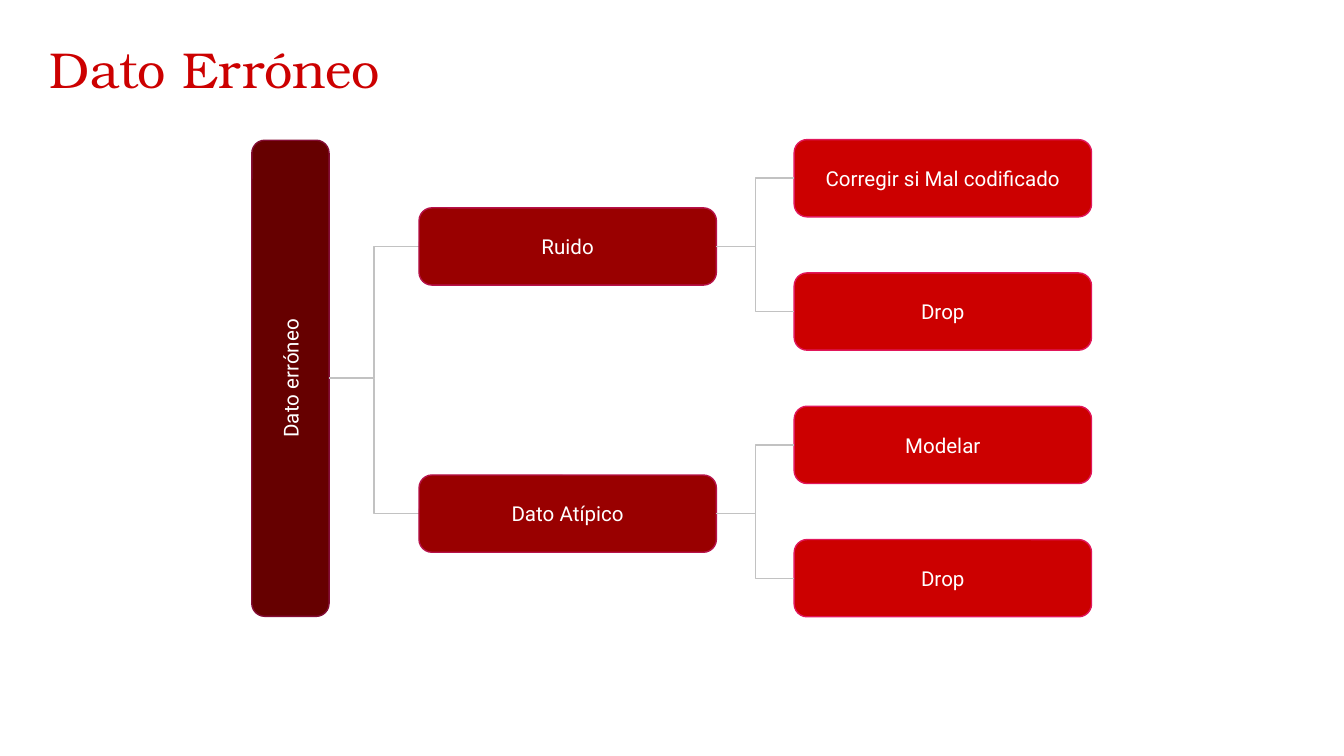
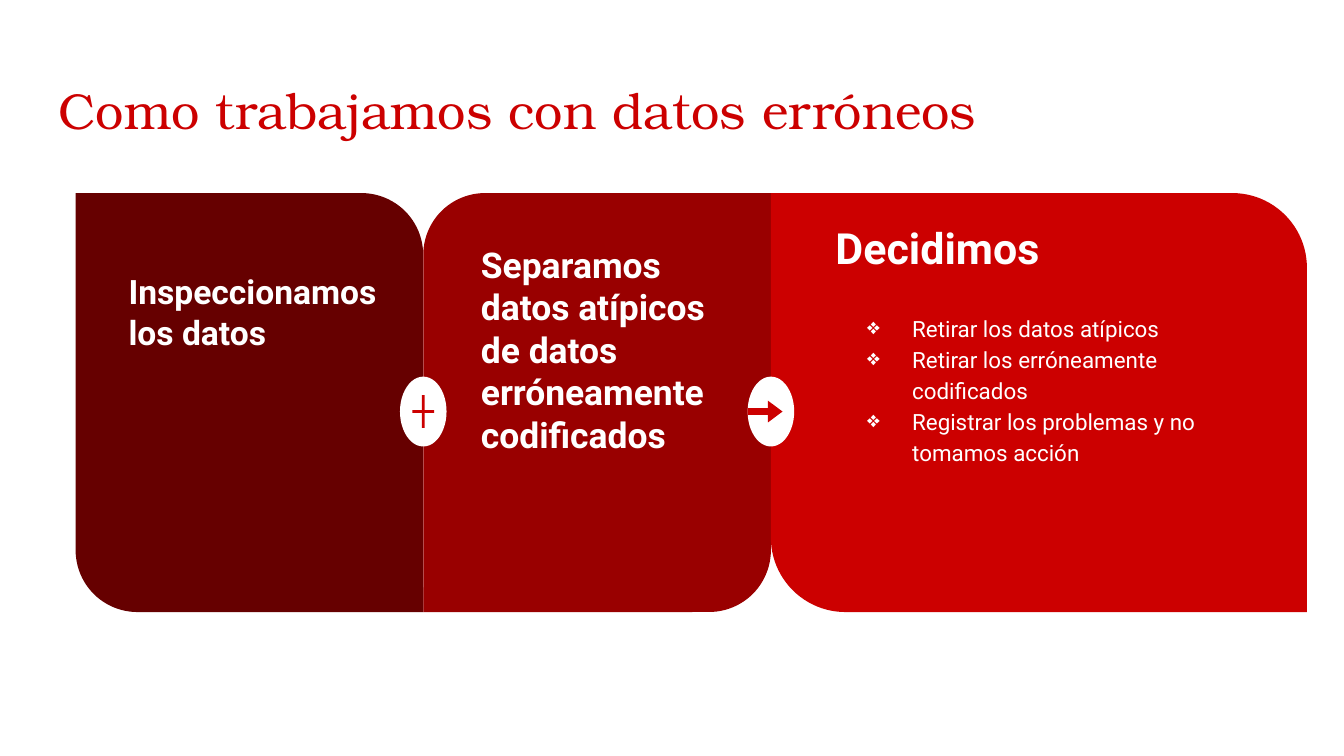
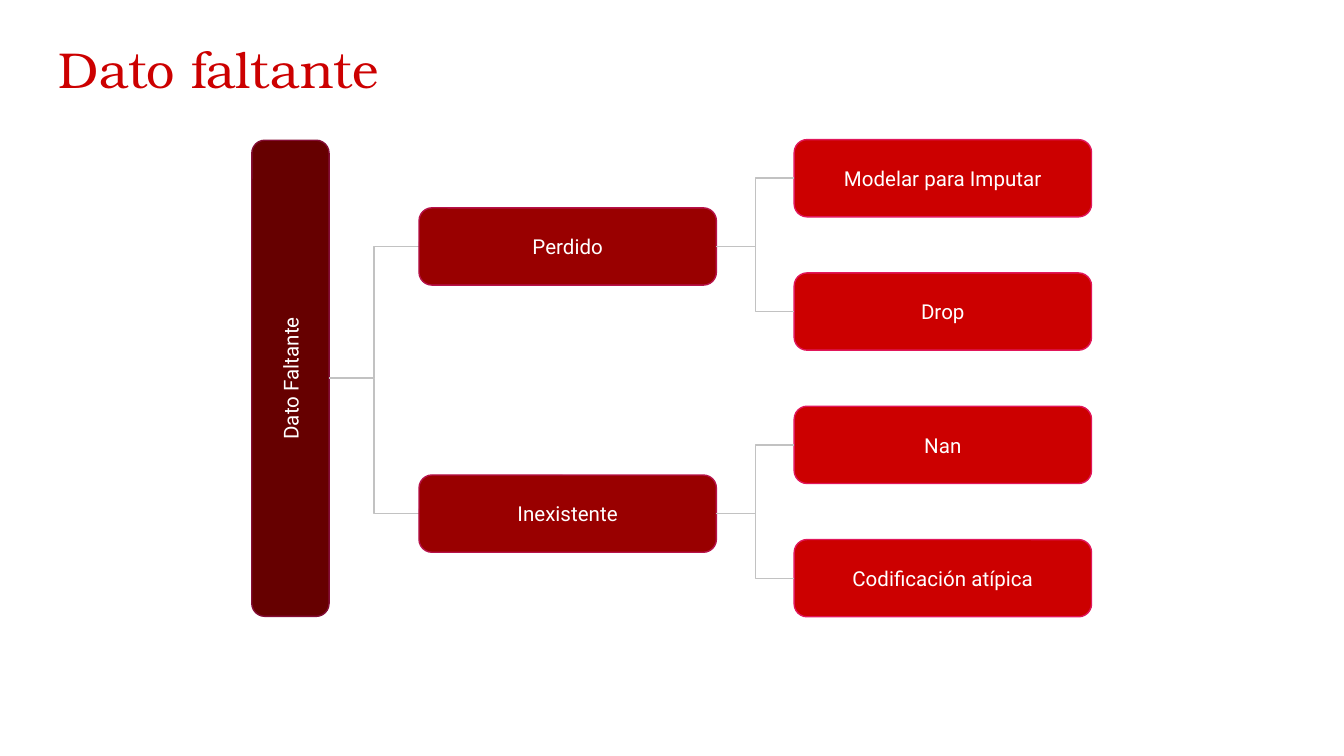
import lxml.etree
import pptx
import pptx.dml.color
import pptx.enum.shapes
import pptx.enum.text
import pptx.oxml.ns
import pptx.util

Cm = pptx.util.Cm
SHAPE = pptx.enum.shapes.MSO_SHAPE
ALIGN = pptx.enum.text.PP_ALIGN
ANCHOR = pptx.enum.text.MSO_ANCHOR
qn = pptx.oxml.ns.qn

COLORS = {
    "white": "FFFFFF",
    "dark": "660000", "dark edge": "840D35",
    "medium": "990000", "medium edge": "B61249",
    "bright": "CC0000", "bright edge": "E1165A",
    "link": "C2C2C2",
}
TITLE_FONT = "TeX Gyre Bonum"
BODY_FONT = "Roboto"


def rgb(name):
    return pptx.dml.color.RGBColor.from_string(COLORS[name])


class Deck:
    def __init__(self):
        self.presentation = pptx.Presentation()
        self.presentation.slide_width = Cm(25.4)
        self.presentation.slide_height = Cm(14.29)
        self.slide = None

    def new_slide(self, title, left, top):
        layout = self.presentation.slide_layouts[6]
        self.slide = self.presentation.slides.add_slide(layout)
        title_box = self.slide.shapes.add_textbox(Cm(left), Cm(top), Cm(23.67), Cm(1.6))
        self.set_text(title_box, [title], 27, font=TITLE_FONT, color="bright")

    def set_text(self, shape, lines, size, font=BODY_FONT, color="white", bold=False,
                 align=ALIGN.LEFT, anchor=ANCHOR.TOP):
        frame = shape.text_frame
        frame.word_wrap = True
        frame.vertical_anchor = anchor
        frame.margin_left = frame.margin_right = Cm(0.25)
        frame.margin_top = frame.margin_bottom = Cm(0.25)
        frame.text = "\n".join(lines)
        for paragraph in frame.paragraphs:
            paragraph.alignment = align
            paragraph.font.name = font
            paragraph.font.size = pptx.util.Pt(size)
            paragraph.font.bold = bold
            paragraph.font.color.rgb = rgb(color)

    def shape(self, kind, left, top, width, height, fill, edge=None, adjustments=()):
        shape = self.slide.shapes.add_shape(kind, Cm(left), Cm(top), Cm(width), Cm(height))
        shape.shadow.inherit = False
        shape.fill.solid()
        shape.fill.fore_color.rgb = rgb(fill)
        if edge:
            shape.line.color.rgb = rgb(edge)
            shape.line.width = pptx.util.Pt(0.75)
        else:
            shape.line.fill.background()
        for index, value in enumerate(adjustments):
            shape.adjustments[index] = value
        return shape

    def centered(self, kind, center_x, center_y, width, height, fill, **style):
        """Add a shape placed by its centre."""
        return self.shape(kind, center_x - width / 2, center_y - height / 2,
                          width, height, fill, **style)

    def node(self, text, center_x, center_y, width, height, tone):
        node = self.centered(SHAPE.ROUNDED_RECTANGLE, center_x, center_y, width, height,
                             tone, edge=tone + " edge", adjustments=[0.167])
        self.set_text(node, [text], 11, align=ALIGN.CENTER, anchor=ANCHOR.MIDDLE)
        return node

    def elbow(self, start_x, start_y, end_x, end_y):
        connector = self.slide.shapes.add_connector(
            pptx.enum.shapes.MSO_CONNECTOR.ELBOW,
            Cm(start_x), Cm(start_y), Cm(end_x), Cm(end_y))
        connector.line.color.rgb = rgb("link")
        connector.line.width = pptx.util.Pt(0.75)
        lxml.etree.SubElement(connector.element.spPr, qn("a:effectLst"))

    def caption(self, lines, size, left, top, width, height, fill, bold=True):
        block = self.shape(SHAPE.RECTANGLE, left, top, width, height, fill)
        self.set_text(block, lines, size, bold=bold)
        return block

    def bullets(self, shape, mark):
        for paragraph in shape.text_frame.paragraphs:
            paragraph.line_spacing = 1.15
            # The default run properties must stay after the bullet elements.
            properties = paragraph._p.get_or_add_pPr()
            properties.set("marL", str(Cm(1.27)))
            properties.set("indent", str(Cm(-0.85)))
            color = lxml.etree.Element(qn("a:buClr"))
            lxml.etree.SubElement(color, qn("a:srgbClr"), val=COLORS["white"])
            run_defaults = properties.find(qn("a:defRPr"))
            run_defaults.addprevious(color)
            run_defaults.addprevious(lxml.etree.Element(qn("a:buChar"), char=mark))

    def tree(self, root, branches):
        """Draw a root, its branches and two leaves for each branch."""
        thickness, node_width, root_length = 1.46, 5.62, 9.0
        root_x, root_y = 5.49, 7.15
        branch_x, branch_top, branch_step = 10.73, 4.66, 5.05
        leaf_x, leaf_top, leaf_step = 17.82, 3.37, 2.52

        root_right = root_x + thickness / 2
        branch_left, branch_right = branch_x - node_width / 2, branch_x + node_width / 2
        leaf_left = leaf_x - node_width / 2

        self.node(root, root_x, root_y, root_length, thickness, "dark").rotation = 270
        for row, (branch, leaves) in enumerate(branches):
            branch_y = branch_top + row * branch_step
            self.elbow(root_right, root_y, branch_left, branch_y)
            self.node(branch, branch_x, branch_y, node_width, thickness, "medium")
            for index, leaf in enumerate(leaves):
                leaf_y = leaf_top + (row * len(leaves) + index) * leaf_step
                self.node(leaf, leaf_x, leaf_y, node_width, thickness, "bright")
                self.elbow(branch_right, branch_y, leaf_left, leaf_y)


def add_process_slide(deck):
    deck.new_slide("Como trabajamos con datos erróneos", 0.86, 1.24)
    left, top, height, step_width, corner = 1.43, 3.65, 7.92, 6.57, 0.178
    panels = [
        (step_width, "dark", [0, corner]),
        (step_width, "medium", [corner, 0]),
        (10.13, "bright", [0, corner]),
    ]
    for index, (width, tone, corners) in enumerate(panels):
        deck.shape(SHAPE.ROUND_2_DIAG_RECTANGLE, left + index * step_width, top,
                   width, height, tone, adjustments=corners)

    deck.caption(["Inspeccionamos los datos"], 18, 2.18, 4.88, 5.28, 2.31, "dark")
    deck.caption(["Separamos datos atípicos de datos erróneamente codificados"],
                 19, 8.84, 4.34, 4.9, 5.59, "medium")
    deck.caption(["Decidimos"], 23, 15.54, 3.94, 8.18, 2.31, "bright")
    options = deck.caption(
        ["Retirar los datos atípicos",
         "Retirar los erróneamente codificados",
         "Registrar los problemas y no tomamos acción"],
        12, 15.72, 5.64, 8.18, 4.14, "bright", bold=False)
    deck.bullets(options, "❖")

    badge_y = 7.78
    first_seam, second_seam = left + step_width, left + 2 * step_width
    for seam in (first_seam, second_seam):
        deck.centered(SHAPE.OVAL, seam, badge_y, 0.88, 1.32, "white")
    deck.centered(SHAPE.MATH_PLUS, first_seam, badge_y, 0.56, 0.84, "bright",
                  adjustments=[0.099])
    deck.centered(SHAPE.RIGHT_ARROW, second_seam - 0.11, badge_y, 0.66, 0.41, "bright",
                  adjustments=[0.32, 0.67])


def main():
    deck = Deck()
    deck.new_slide("Dato Erróneo", 0.69, 0.48)
    deck.tree("Dato erróneo", [
        ("Ruido", ["Corregir si Mal codificado", "Drop"]),
        ("Dato Atípico", ["Modelar", "Drop"]),
    ])
    add_process_slide(deck)
    deck.new_slide("Dato faltante", 0.86, 0.48)
    deck.tree("Dato Faltante", [
        ("Perdido", ["Modelar para Imputar", "Drop"]),
        ("Inexistente", ["Nan", "Codificación atípica"]),
    ])
    deck.presentation.save("out.pptx")


if __name__ == "__main__":
    main()
